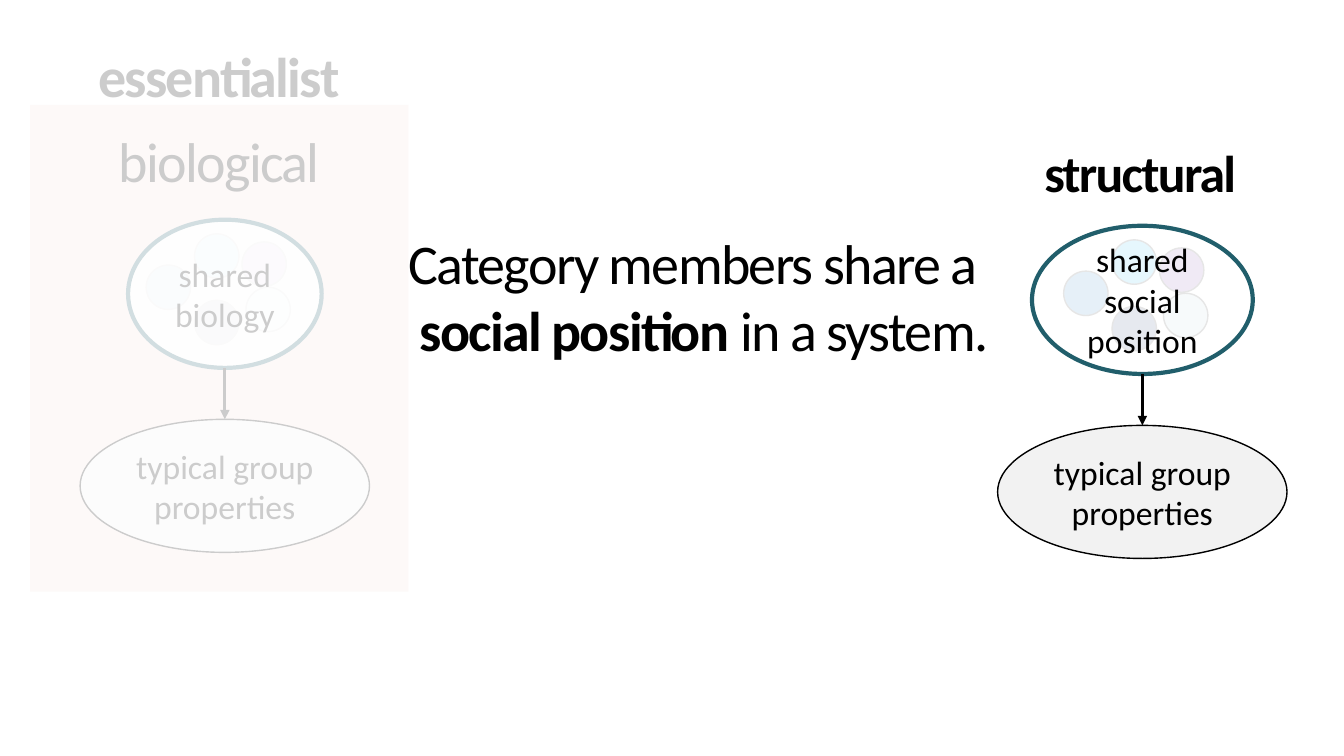
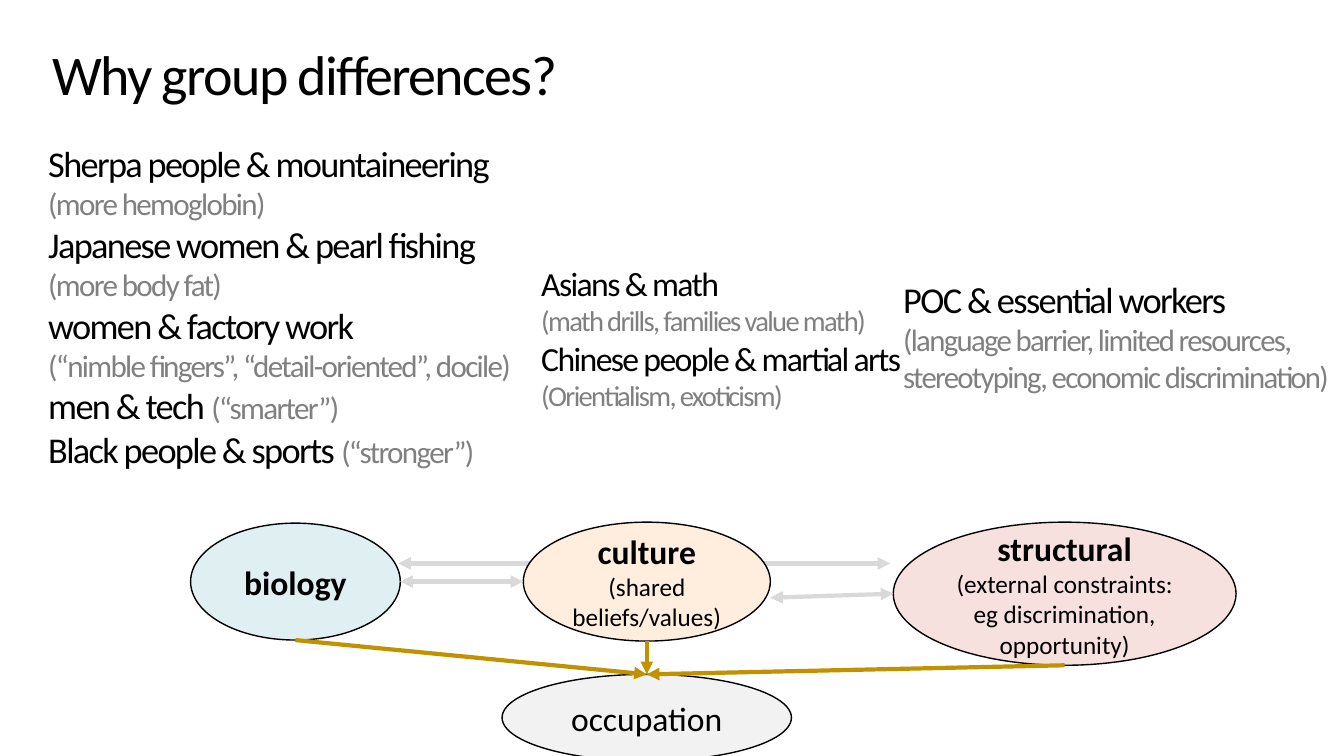
from lxml import etree
from pptx import Presentation
from pptx.dml.color import RGBColor
from pptx.enum import shapes, text
from pptx.oxml import ns
from pptx.util import Inches, Pt

FONT = "Calibri"
BLACK, WHITE, GRAY, PALE = "000000", "FFFFFF", "808080", "F2F2F2"
TEAL, ROSE, ICE, PEACH = "215E6B", "F7E1DF", "E0EFF2", "FFEEDD"
SILVER, GOLD = "D9D9D9", "C09200"
TIGHT = -1.2
LEFT, CENTER, RIGHT = text.PP_ALIGN.LEFT, text.PP_ALIGN.CENTER, text.PP_ALIGN.RIGHT
MIDDLE, TOP = text.MSO_ANCHOR.MIDDLE, text.MSO_ANCHOR.TOP
OVAL, RECTANGLE = shapes.MSO_SHAPE.OVAL, shapes.MSO_SHAPE.RECTANGLE


def color(value):
    return RGBColor.from_string(value)


def style(font, size, tone, bold):
    font.name = FONT
    font.size = Pt(size)
    font.color.rgb = color(tone)
    font.bold = bold


def write(box, paragraphs, align=LEFT, anchor=MIDDLE, spacing=0):
    frame = box.text_frame
    frame.word_wrap = True
    frame.vertical_anchor = anchor
    for index, spans in enumerate(paragraphs):
        para = frame.paragraphs[0] if index == 0 else frame.add_paragraph()
        para.alignment = align
        for words, size, tone, bold in spans:
            span = para.add_run()
            span.text = words.rstrip("\n")
            if words.endswith("\n"):
                para.add_line_break()
            style(para.font if len(spans) == 1 else span.font, size, tone, bold)
            if spacing:
                span.font._element.set("spc", str(round(spacing * 100)))


def add_text(page, place, paragraphs, align=LEFT, anchor=MIDDLE):
    box = page.shapes.add_textbox(*map(Inches, place))
    write(box, paragraphs, align, anchor, TIGHT)


def add_shape(page, kind, place, fill, outline=None, weight=1, opacity=100):
    shape = page.shapes.add_shape(kind, *map(Inches, place))
    shape.shadow.inherit = False
    shape.fill.solid()
    shape.fill.fore_color.rgb = color(fill)
    if opacity < 100:
        tint = shape.fill._xPr.find(".//" + ns.qn("a:srgbClr"))
        etree.SubElement(tint, ns.qn("a:alpha")).set("val", str(opacity * 1000))
    if outline:
        shape.line.color.rgb = color(outline)
        shape.line.width = Pt(weight)
    else:
        shape.line.fill.background()
    return shape


def add_arrow(page, start, end, tone, weight, double=False):
    arrow = page.shapes.add_connector(
        shapes.MSO_CONNECTOR.STRAIGHT, *map(Inches, (*start, *end)))
    arrow.line.color.rgb = color(tone)
    arrow.line.width = Pt(weight)
    line = arrow.line._get_or_add_ln()
    for name in ("a:headEnd", "a:tailEnd") if double else ("a:tailEnd",):
        etree.SubElement(line, ns.qn(name)).set("type", "triangle")
    etree.SubElement(arrow._element.spPr, ns.qn("a:effectLst"))


def add_oval(page, place, fill, paragraphs):
    write(add_shape(page, OVAL, place, fill, BLACK), paragraphs, CENTER)


def edge(place, across, down):
    left, top, width, height = place
    return left + across * width, top + down * height


def cause_model(page, center, top, width, cause):
    dots = [(-0.3, 0.8, "002060"), (-0.3, 0.14, "00B0F0"), (-0.78, 0.45, "0070C0"),
            (0.17, 0.22, "7030A0"), (0.21, 0.67, "B5D2D9")]
    for across, down, fill in dots:
        add_shape(page, OVAL, (center + across, top + down, 0.44, 0.44), fill, BLACK)
    shared = (center - width / 2, top, width, 1.47)
    group = (center - 2.87 / 2, top + 1.98, 2.87, 1.32)
    ring = add_shape(page, OVAL, shared, WHITE, TEAL, 3, 90)
    write(ring, [[(cause, 24, BLACK, False)]], CENTER)
    add_oval(page, group, PALE, [[("typical group properties", 24, BLACK, False)]])
    add_arrow(page, edge(shared, 0.5, 1), edge(group, 0.5, 0), BLACK, 2.25)


def structural_side(page):
    cause_model(page, 11.33, 2.24, 2.19, "shared social position")
    add_text(page, (10.01, 1.26, 2.6, 0.88), [[("structural", 37, BLACK, True)]], CENTER)


def essentialist_side(page):
    add_shape(page, RECTANGLE, (0.3, 1.04, 3.75, 4.83), ROSE)
    cause_model(page, 2.23, 2.18, 1.92, "shared biology")
    add_text(page, (0.91, 1.04, 2.53, 1.1), [[("biological", 40, BLACK, False)]], CENTER)
    add_text(page, (0.45, 0.25, 3.44, 1), [[("essentialist", 40, BLACK, True)]], CENTER)
    add_shape(page, RECTANGLE, (0, -0.05, 4.43, 7.5), WHITE, opacity=80)


def position_slide(deck):
    page = deck.slides.add_slide(deck.slide_layouts[6])
    structural_side(page)
    essentialist_side(page)
    message = [("Category members share a \n", 40, BLACK, False),
               ("social position ", 40, BLACK, True),
               ("in a system.", 40, BLACK, False)]
    add_text(page, (3.38, 2.22, 6.52, 2.01), [message], RIGHT, TOP)


def example(topic, reason, large, small):
    return [(topic, large, BLACK, False), (reason, small, GRAY, False)]


def example_columns(page):
    biology = [
        ("Sherpa people & mountaineering ", "(more hemoglobin)"),
        ("Japanese women & pearl fishing\n", "(more body fat)"),
        ("women & factory work\n", "(“nimble fingers”, “detail-oriented”, docile)"),
        ("men & tech ", "(“smarter”)"),
        ("Black people & sports ", "(“stronger”)")]
    structure = [("POC & essential workers ", "(language barrier, limited resources, "
                  "stereotyping, economic discrimination)")]
    culture = [("Asians & math", "(math drills, families value math) "),
               ("Chinese people & martial arts", "(Orientialism, exoticism)")]
    add_text(page, (0.38, 1.24, 4.88, 3.59),
             [example(*pair, 25.9, 22.2) for pair in biology])
    add_text(page, (8.86, 2.47, 4.48, 1.73),
             [example(*pair, 26, 22) for pair in structure])
    add_text(page, (5.27, 2.55, 3.77, 1.6),
             [[span] for pair in culture for span in example(*pair, 24.1, 20.4)])


def cause_diagram(page):
    biology = (1.89, 5.19, 2.08, 1.16)
    culture = (5.19, 5.18, 2.45, 1.18)
    structure = (8.86, 5.18, 3.4, 1.42)
    occupation = (4.98, 6.69, 2.87, 0.86)
    causes = [
        (structure, ROSE, "structural",
         "(external constraints: eg discrimination, opportunity)"),
        (biology, ICE, "biology", ""),
        (culture, PEACH, "culture", "(shared beliefs/values)")]
    add_arrow(page, (3.95, 5.59), (8.83, 5.59), SILVER, 3, True)
    for place, fill, name, detail in causes:
        lines = [[(name, 24, BLACK, True)]]
        if detail:
            lines.append([(detail, 18, BLACK, False)])
        add_oval(page, place, fill, lines)
    add_oval(page, occupation, PALE, [[("occupation", 24, BLACK, False)]])
    for cause in (biology, structure, culture):
        add_arrow(page, edge(cause, 0.5, 1), edge(occupation, 0.5, 0), GOLD, 3)
    add_arrow(page, edge(biology, 1, 0.5), edge(culture, 0, 0.5), SILVER, 3, True)
    add_arrow(page, (7.64, 5.93), edge(structure, 0, 0.5), SILVER, 3, True)


def differences_slide(deck):
    page = deck.slides.add_slide(deck.slide_layouts[5])
    example_columns(page)
    title = page.shapes.title
    title.left, title.top, title.width, title.height = map(
        Inches, (0.42, -0.08, 11.38, 1.61))
    write(title, [[("Why group differences?", 40, BLACK, False)]], spacing=TIGHT)
    cause_diagram(page)


deck = Presentation()
deck.slide_width, deck.slide_height = Inches(13.33), Inches(7.5)
position_slide(deck)
differences_slide(deck)
deck.save("out.pptx")
